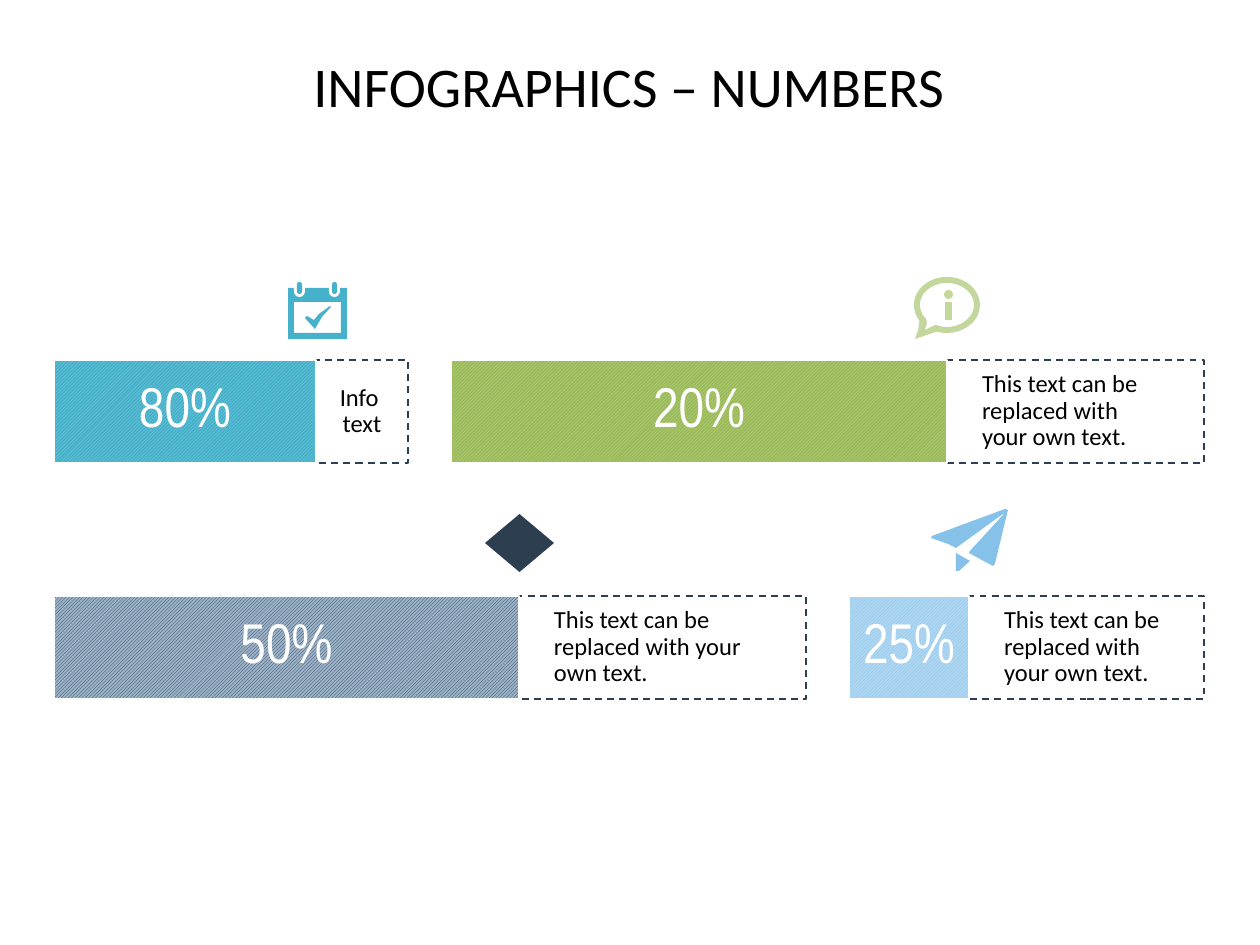
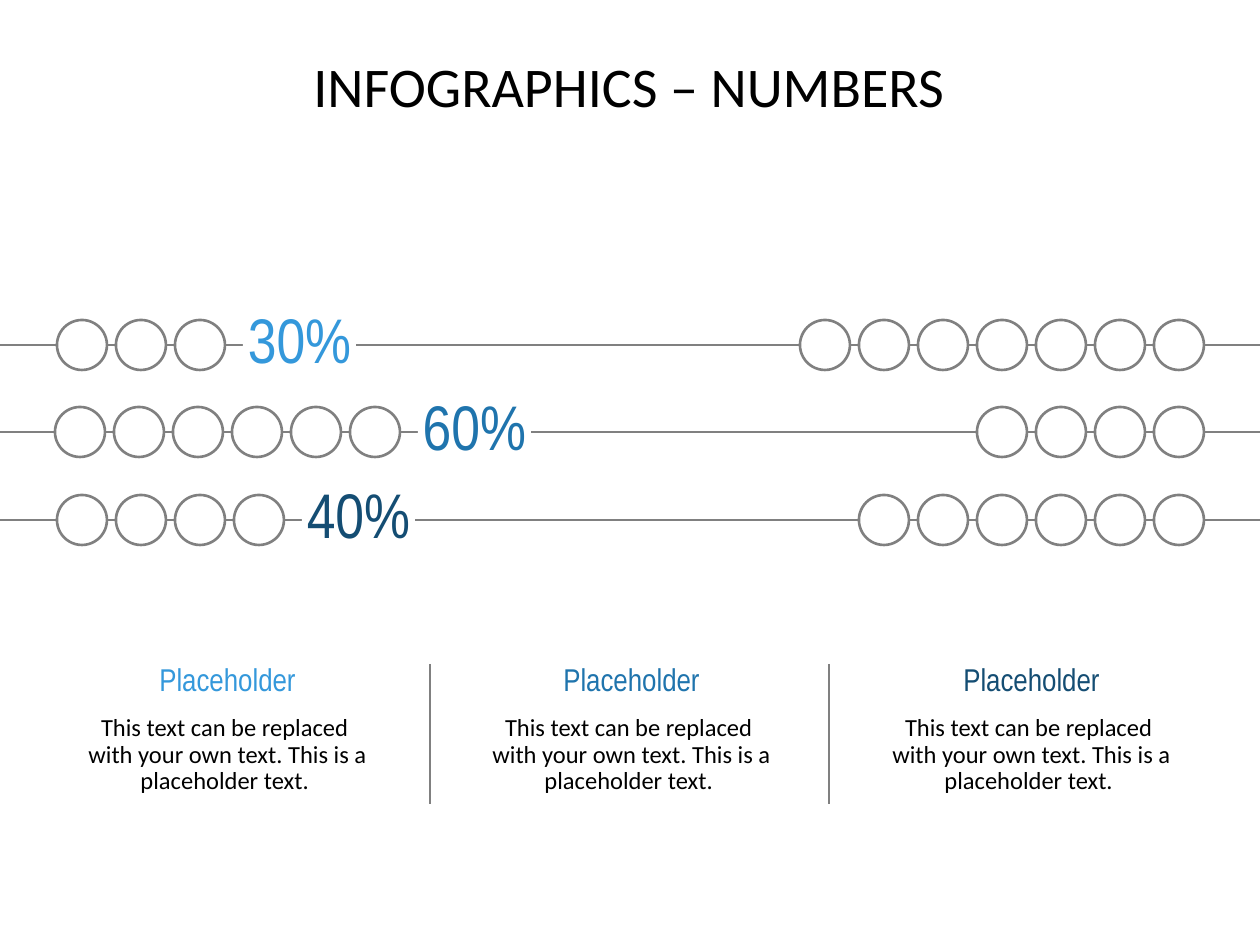
import math
from copy import deepcopy
from dataclasses import dataclass

from lxml import etree
from pptx import Presentation, util as u
from pptx.dml.color import RGBColor
from pptx.enum import dml, shapes, text
from pptx.oxml.ns import qn

EMU_PER_PX = 914400 / 126
SLIDE_WIDTH, SLIDE_HEIGHT = 1260, 945
UNITS_PER_PX = 10  # resolution of outline points


@dataclass(frozen=True)
class Theme:
    body_font: str = "Calibri"
    number_font: str = "Arial Narrow"
    title_size: int = 32
    bar_size: int = 32
    rod_size: int = 36
    heading_size: int = 18
    body_size: int = 14
    black: str = "000000"
    white: str = "FFFFFF"
    gray: str = "808080"
    navy: str = "2C3E50"
    slate: str = "9BB2C8"
    teal: str = "45B1CB"
    pale_teal: str = "8FD0E0"
    green: str = "9BBB59"
    pale_green: str = "C3D69B"
    sky: str = "85C1E9"
    pale_sky: str = "AED6F1"
    blues: tuple = ("3498DB", "1F74AD", "144D73")


THEME = Theme()


def px(length):
    return u.Emu(round(length * EMU_PER_PX))


def rgb(color):
    return RGBColor.from_string(color)


def set_frame(shape, inset_x=0, inset_y=0, anchor=text.MSO_ANCHOR.TOP):
    frame = shape.text_frame
    frame.word_wrap = True
    frame.vertical_anchor = anchor
    frame.margin_left = frame.margin_right = px(inset_x)
    frame.margin_top = frame.margin_bottom = px(inset_y)
    return frame


def write(paragraph, content, size, color, font, align=text.PP_ALIGN.CENTER,
          spacing=0.9, after=10):
    """Fill a paragraph; a newline in the content becomes a line break."""
    paragraph.alignment = align
    paragraph.line_spacing = spacing
    paragraph.space_after = u.Pt(after)
    run = None
    for line in content.split("\n"):
        if run is not None:
            paragraph.add_line_break()
            paragraph._p[-1].append(deepcopy(run._r.rPr))
        run = paragraph.add_run()
        run.text = line
        run.font.size = u.Pt(size)
        run.font.name = font
        run.font.color.rgb = rgb(color)


def add_text_box(slide, left, top, width, height):
    box = slide.shapes.add_textbox(px(left), px(top), px(width), px(height))
    return set_frame(box)


def add_title(slide, content):
    frame = add_text_box(slide, 54, 59, 1150, 149)
    write(frame.paragraphs[0], content, THEME.title_size, THEME.black,
          THEME.body_font, after=0)


def add_block(slide, kind, left, top, width, height, fill=None, line=None,
              line_width=1.0):
    shape = slide.shapes.add_shape(kind, px(left), px(top), px(width), px(height))
    shape.shadow.inherit = False
    if fill:
        shape.fill.solid()
        shape.fill.fore_color.rgb = rgb(fill)
    else:
        shape.fill.background()
    if line:
        shape.line.color.rgb = rgb(line)
        shape.line.width = u.Pt(line_width)
    else:
        shape.line.fill.background()
    return shape


def add_line(slide, x1, y1, x2, y2):
    line = slide.shapes.add_connector(
        shapes.MSO_CONNECTOR.STRAIGHT, px(x1), px(y1), px(x2), px(y2))
    line.line.color.rgb = rgb(THEME.gray)
    line.line.width = u.Pt(1.5)
    etree.SubElement(line._element.spPr, qn("a:effectLst"))


def add_outline(slide, contours, color):
    """Draw closed contours as one shape; an inner contour cuts a hole."""
    scaled = [[(x * UNITS_PER_PX, y * UNITS_PER_PX) for x, y in contour]
              for contour in contours]
    builder = slide.shapes.build_freeform(*scaled[0][0],
                                          scale=EMU_PER_PX / UNITS_PER_PX)
    builder.add_line_segments(scaled[0][1:], close=True)
    for contour in scaled[1:]:
        builder.move_to(*contour[0])
        builder.add_line_segments(contour[1:], close=True)
    shape = builder.convert_to_shape()
    shape.shadow.inherit = False
    shape.fill.solid()
    shape.fill.fore_color.rgb = rgb(color)
    shape.line.fill.background()


def arc(center_x, center_y, radius_x, radius_y, start, end, steps=60):
    angles = [math.radians(start + (end - start) * step / steps)
              for step in range(steps + 1)]
    return [(center_x + radius_x * math.cos(angle),
             center_y + radius_y * math.sin(angle)) for angle in angles]


def rectangle(left, top, right, bottom):
    return [(left, top), (right, top), (right, bottom), (left, bottom)]


def add_calendar(slide):
    add_outline(slide, [rectangle(288, 288, 347, 339),
                        rectangle(294, 302, 341, 333)], THEME.teal)
    for left in (297, 332):
        for margin, color in ((3, THEME.white), (0, THEME.teal)):
            ring = add_block(slide, shapes.MSO_SHAPE.ROUNDED_RECTANGLE,
                             left - margin, 282 - margin,
                             5 + 2 * margin, 12 + 2 * margin, color)
            ring.adjustments[0] = 0.5
    add_outline(slide, [[(315, 329), (305, 318), (307, 316), (314, 320),
                         (319, 314), (330, 306), (331, 307), (322, 317)]],
                THEME.teal)


def add_info_bubble(slide):
    outer = arc(947, 305, 33, 28, 146, 468) + [(915, 339), (918, 331)]
    inner = arc(947, 305, 27, 22, 140, 475) + [(925, 330), (927, 323)]
    add_outline(slide, [outer, inner], THEME.pale_green)
    add_block(slide, shapes.MSO_SHAPE.RECTANGLE, 945, 302, 7, 18, THEME.pale_green)
    add_block(slide, shapes.MSO_SHAPE.OVAL, 944, 290, 9, 9, THEME.pale_green)


def add_box_mark(slide):
    add_block(slide, shapes.MSO_SHAPE.DIAMOND, 485, 514, 69, 58, THEME.navy)


def add_paper_plane(slide):
    wings = [(1005, 509), (932, 536), (931, 538), (948, 544), (956, 548),
             (1003, 514), (1004, 514), (970, 551), (969, 553), (993, 566),
             (995, 564), (1008, 510)]
    tail = [(956, 553), (956, 571), (959, 571), (970, 561)]
    add_outline(slide, [wings, tail], THEME.sky)


def add_bar(slide, left, top, width, note_width, percent, note, pattern,
            draw_icon, note_inset=35, note_align=text.PP_ALIGN.LEFT):
    """Hatched percentage bar with a dashed note to its right and an icon."""
    height = 103
    box = add_block(slide, shapes.MSO_SHAPE.RECTANGLE, left + width, top,
                    note_width, height, line=THEME.navy)
    box.line.dash_style = dml.MSO_LINE.DASH
    frame = set_frame(box, note_inset, 0, text.MSO_ANCHOR.MIDDLE)
    write(frame.paragraphs[0], note, THEME.body_size, THEME.black,
          THEME.body_font, note_align)
    draw_icon(slide)
    bar = add_block(slide, shapes.MSO_SHAPE.RECTANGLE, left, top, width, height,
                    line=THEME.white)
    bar.fill.patterned()
    bar.fill.pattern = dml.MSO_PATTERN.LIGHT_UPWARD_DIAGONAL
    bar.fill.fore_color.rgb, bar.fill.back_color.rgb = map(rgb, pattern)
    frame = set_frame(bar, 5, 5, text.MSO_ANCHOR.MIDDLE)
    write(frame.paragraphs[0], percent, THEME.bar_size, THEME.white,
          THEME.number_font, spacing=0.8)


def add_rod(slide, center_y, first_left, left_count, color):
    """Abacus rod of ten beads, with the left share written beside them."""
    diameter, pitch, last_left, total = 50, 59, 1154, 10
    top = center_y - diameter // 2
    add_line(slide, 0, center_y, SLIDE_WIDTH, center_y)
    lefts = [first_left + pitch * index for index in range(left_count)]
    lefts += [last_left - pitch * index for index in range(total - left_count)]
    for left in lefts:
        add_block(slide, shapes.MSO_SHAPE.OVAL, left, top, diameter, diameter,
                  THEME.white, THEME.gray, 1.5)
    label = add_block(slide, shapes.MSO_SHAPE.RECTANGLE,
                      first_left + pitch * left_count + 9, top, 113, diameter,
                      THEME.white)
    frame = set_frame(label, anchor=text.MSO_ANCHOR.MIDDLE)
    write(frame.paragraphs[0], f"{left_count * 100 // total}%", THEME.rod_size,
          color, THEME.number_font, spacing=0.8)


def add_column(slide, left, color):
    frame = add_text_box(slide, left, 664, 345, 118)
    write(frame.paragraphs[0], "Placeholder", THEME.heading_size, color,
          THEME.number_font)
    write(frame.add_paragraph(),
          "This text can be replaced \nwith your own text. This is a placeholder text. ",
          THEME.body_size, THEME.black, THEME.body_font)


def add_titled_slide(presentation):
    slide = presentation.slides.add_slide(presentation.slide_layouts[6])
    add_title(slide, "INFOGRAPHICS – NUMBERS")
    return slide


def build_bars(presentation):
    slide = add_titled_slide(presentation)
    upper, lower = 360, 596
    add_bar(slide, 54, lower, 465, 287, "50%",
            "This text can be replaced with your \nown text.",
            (THEME.navy, THEME.slate), add_box_mark)
    add_bar(slide, 451, upper, 496, 257, "20%",
            "This text can be replaced with \nyour own text.",
            (THEME.pale_green, THEME.green), add_info_bubble)
    add_bar(slide, 54, upper, 262, 92, "80%", "Info \ntext",
            (THEME.pale_teal, THEME.teal), add_calendar, 0, text.PP_ALIGN.CENTER)
    add_bar(slide, 849, lower, 120, 235, "25%",
            "This text can be replaced with your own text.",
            (THEME.sky, THEME.pale_sky), add_paper_plane)


def build_abacus(presentation):
    slide = add_titled_slide(presentation)
    rods = ((345, 57, 3), (432, 55, 6), (520, 57, 4))
    for (center_y, first_left, count), color in zip(rods, THEME.blues):
        add_rod(slide, center_y, first_left, count, color)
    for left, color in zip((55, 459, 859), THEME.blues):
        add_column(slide, left, color)
    for divider_x in (430, 829):
        add_line(slide, divider_x, 664, divider_x, 804)


def main():
    presentation = Presentation()
    presentation.slide_width = px(SLIDE_WIDTH)
    presentation.slide_height = px(SLIDE_HEIGHT)
    build_bars(presentation)
    build_abacus(presentation)
    presentation.save("out.pptx")


if __name__ == "__main__":
    main()
